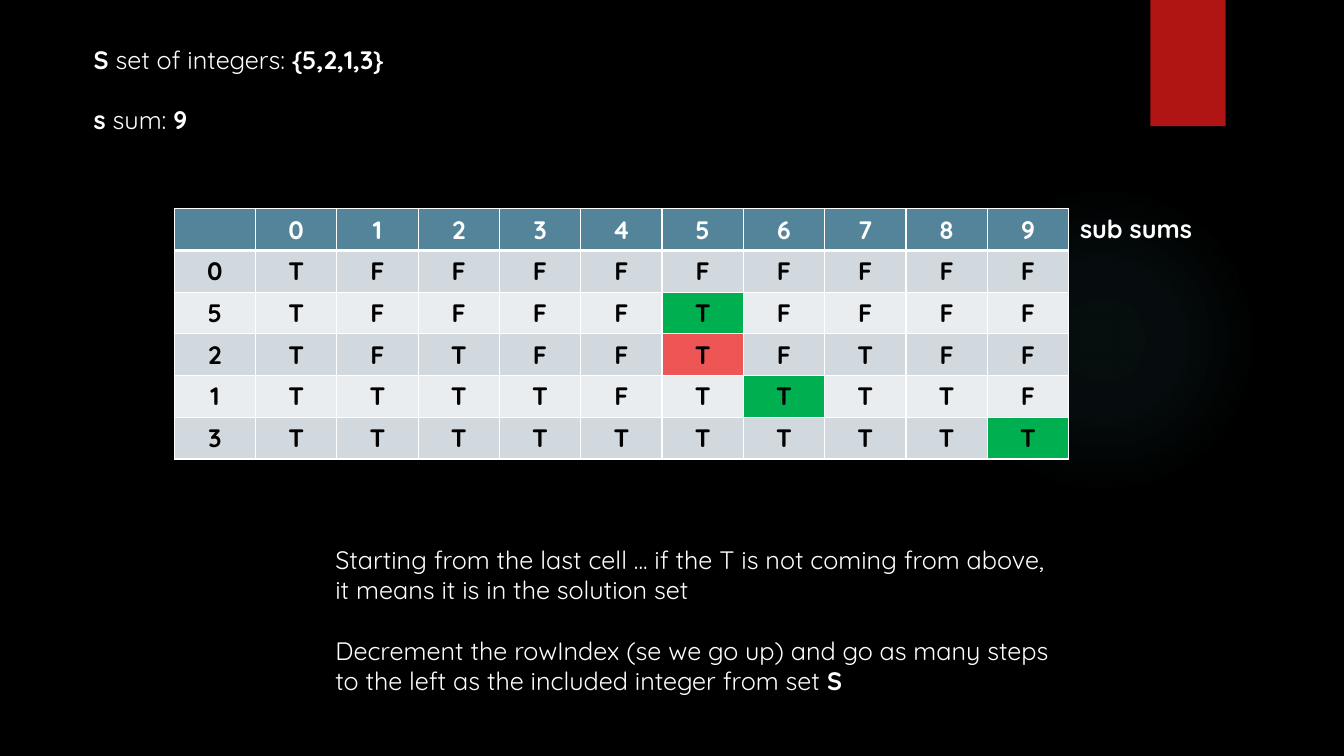
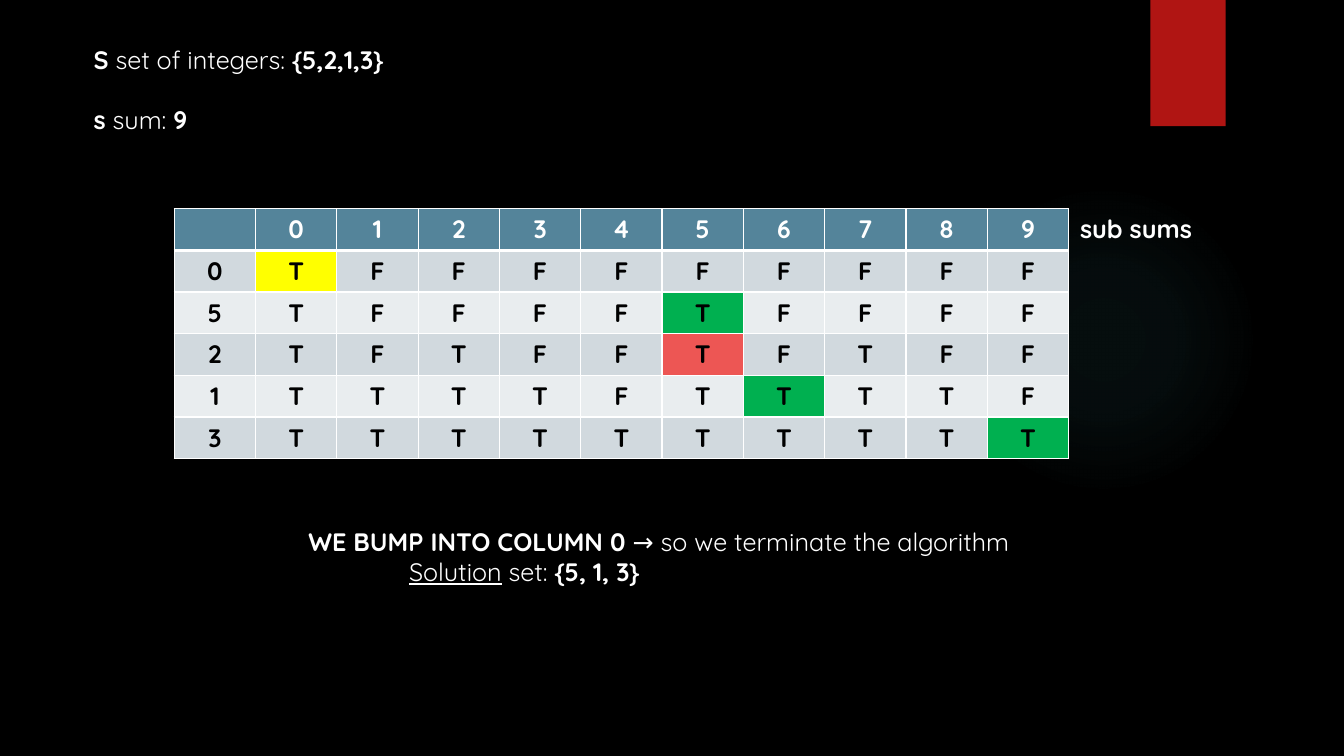
import dataclasses

import lxml.etree
import pptx
import pptx.dml.color
import pptx.enum.shapes
import pptx.enum.text
import pptx.oxml
import pptx.oxml.ns
import pptx.util

Cm = pptx.util.Cm
Pt = pptx.util.Pt


@dataclasses.dataclass(frozen=True)
class Theme:
    font: str = "Quicksand"
    size: float = 18
    gap: float = 21.6  # one line of body text
    background: str = "000000"
    light: str = "FFFFFF"
    dark: str = "000000"
    band: str = "B01513"
    glow: str = "50B9C1"
    header: str = "54849A"
    odd_row: str = "D1D9DE"
    even_row: str = "E9EDEF"
    included: str = "00B050"
    skipped: str = "ED5654"
    finish: str = "FFFF00"
    border: float = 1
    header_border: float = 3


THEME = Theme()
INTEGERS = [5, 2, 1, 3]
TARGET = 9
WALK = {
    (2, 6): THEME.included,
    (3, 6): THEME.skipped,
    (4, 7): THEME.included,
    (5, 10): THEME.included,
}
TABLE_LEFT, TABLE_TOP = 4.39, 5.26
COLUMN_WIDTH, ROW_HEIGHT = 2.05, 1.05


def color(code):
    return pptx.dml.color.RGBColor.from_string(code)


def add_span(para, text, bold=False, underline=False, code=THEME.light):
    span = para.add_run()
    span.text = text
    span.font.name = THEME.font
    span.font.size = Pt(THEME.size)
    span.font.bold = bold
    span.font.underline = underline
    span.font.color.rgb = color(code)


def add_text(page, left, top, width, height, paragraphs):
    """Each paragraph is (spans, options); options are gap and indent."""
    box = page.shapes.add_textbox(Cm(left), Cm(top), Cm(width), Cm(height))
    frame = box.text_frame
    frame.word_wrap = False
    frame.auto_size = pptx.enum.text.MSO_AUTO_SIZE.SHAPE_TO_FIT_TEXT
    for index, (spans, options) in enumerate(paragraphs):
        para = frame.add_paragraph() if index else frame.paragraphs[0]
        if "gap" in options:
            para.space_before = Pt(options["gap"])
        if "indent" in options:
            para._p.get_or_add_pPr().set("marL", str(Cm(options["indent"])))
        for span in spans:
            add_span(para, *span)


# Shared decoration, kept on the layout
def add_plain_shape(page, kind, left, top, width, height, code):
    shape = page.shapes.add_shape(kind, Cm(left), Cm(top), Cm(width), Cm(height))
    shape.shadow.inherit = False
    shape.line.fill.background()
    shape.fill.solid()
    shape.fill.fore_color.rgb = color(code)
    return shape


def set_glow(shape, code, stops):
    """Replace the solid fill with a radial one; stops are (position, opacity) in percent."""
    stop_xml = "".join(
        f'<a:gs pos="{position * 1000}"><a:srgbClr val="{code}">'
        f'<a:alpha val="{opacity * 1000}"/></a:srgbClr></a:gs>'
        for position, opacity in stops
    )
    gradient = pptx.oxml.parse_xml(
        f'<a:gradFill {pptx.oxml.ns.nsdecls("a")} rotWithShape="1"><a:gsLst>{stop_xml}</a:gsLst>'
        '<a:path path="circle"><a:fillToRect l="50000" t="50000" r="50000" b="50000"/></a:path>'
        "</a:gradFill>"
    )
    solid = shape.element.spPr.find(pptx.oxml.ns.qn("a:solidFill"))
    solid.getparent().replace(solid, gradient)


def decorate_layout(deck, layout):
    fill = deck.slide_master.background.fill
    fill.solid()
    fill.fore_color.rgb = color(THEME.background)
    for holder in list(layout.placeholders):
        holder.element.getparent().remove(holder.element)

    # Layouts cannot create shapes, so the first page makes them
    page = deck.slides.add_slide(layout)
    kinds = pptx.enum.shapes.MSO_SHAPE
    glow = add_plain_shape(page, kinds.OVAL, 23.9, 4.65, 7.82, 7.82, THEME.glow)
    set_glow(glow, THEME.glow, [(0, 7), (36, 6), (69, 0)])
    band = add_plain_shape(page, kinds.RECTANGLE, 28.99, 0, 1.9, 3.18, THEME.band)
    for shape in (glow, band):
        layout.shapes.element.append(shape.element)
    return page


# Subset sum table
def subset_sum_rows():
    sums = range(TARGET + 1)
    reachable = {0}
    rows = [["", *map(str, sums)]]
    for number in [0, *INTEGERS]:
        reachable |= {total + number for total in reachable}
        rows.append([str(number), *("T" if total in reachable else "F" for total in sums)])
    return rows


def set_borders(cell, widths):
    """Widths are in points, for left, right, top and bottom."""
    properties = cell._tc.get_or_add_tcPr()
    for index, (side, width) in enumerate(zip("LRTB", widths)):
        line = lxml.etree.Element(pptx.oxml.ns.qn(f"a:ln{side}"), w=str(Pt(width)))
        fill = lxml.etree.SubElement(line, pptx.oxml.ns.qn("a:solidFill"))
        lxml.etree.SubElement(fill, pptx.oxml.ns.qn("a:srgbClr"), val=THEME.light)
        properties.insert(index, line)


def row_fill(row):
    if row == 0:
        return THEME.header
    return THEME.odd_row if row % 2 else THEME.even_row


def add_sum_table(page, highlights):
    rows = subset_sum_rows()
    columns = len(rows[0])
    table = page.shapes.add_table(
        len(rows), columns, Cm(TABLE_LEFT), Cm(TABLE_TOP),
        Cm(COLUMN_WIDTH * columns), Cm(ROW_HEIGHT * len(rows)),
    ).table
    table.horz_banding = False
    for column in table.columns:
        column.width = Cm(COLUMN_WIDTH)
    for row, values in enumerate(rows):
        table.rows[row].height = Cm(ROW_HEIGHT)
        top = THEME.header_border if row == 1 else THEME.border
        bottom = THEME.header_border if row == 0 else THEME.border
        for column, value in enumerate(values):
            cell = table.cell(row, column)
            cell.vertical_anchor = pptx.enum.text.MSO_ANCHOR.MIDDLE
            cell.fill.solid()
            cell.fill.fore_color.rgb = color(highlights.get((row, column), row_fill(row)))
            set_borders(cell, (THEME.border, THEME.border, top, bottom))
            para = cell.text_frame.paragraphs[0]
            para.alignment = pptx.enum.text.PP_ALIGN.CENTER
            if value:
                add_span(para, value, True, code=THEME.dark if row else THEME.light)


def add_problem(page, highlights):
    add_sum_table(page, highlights)
    add_text(page, 26.97, TABLE_TOP, 3.33, 1.02, [([("sub sums", True)], {})])
    add_text(page, 2.11, 0.99, 8.1, 2.57, [
        ([("S", True), (" set of integers: ",), ("{5,2,1,3}", True)], {}),
        ([("s", True), (" sum: ",), ("9", True)], {"gap": THEME.gap}),
    ])


# Pages
def build_walk_page(page):
    add_problem(page, WALK)
    add_text(page, 8.2, 13.59, 19.99, 4.11, [
        ([("Starting from the last cell ... if the T is not coming from above,",)], {}),
        ([("it means it is in the solution set",)], {}),
        ([("Decrement the rowIndex (se we go up) and go as many steps",)], {"gap": THEME.gap}),
        ([("to the left as the included integer from set ",), ("S", True)], {}),
    ])


def build_finish_page(page):
    add_problem(page, {**WALK, (1, 1): THEME.finish})
    add_text(page, 7.52, 13.13, 18.92, 1.8, [
        ([("WE BUMP INTO COLUMN 0 ", True), ("→ so we terminate the algorithm",)], {}),
        ([("Solution", False, True), (" set: ",), ("{5, 1, 3}", True)], {"indent": 2.54}),
    ])


def main():
    deck = pptx.Presentation()
    deck.slide_width, deck.slide_height = Cm(33.87), Cm(19.05)
    layout = deck.slide_layouts.get_by_name("Blank")
    build_walk_page(decorate_layout(deck, layout))
    build_finish_page(deck.slides.add_slide(layout))
    deck.save("out.pptx")


if __name__ == "__main__":
    main()
